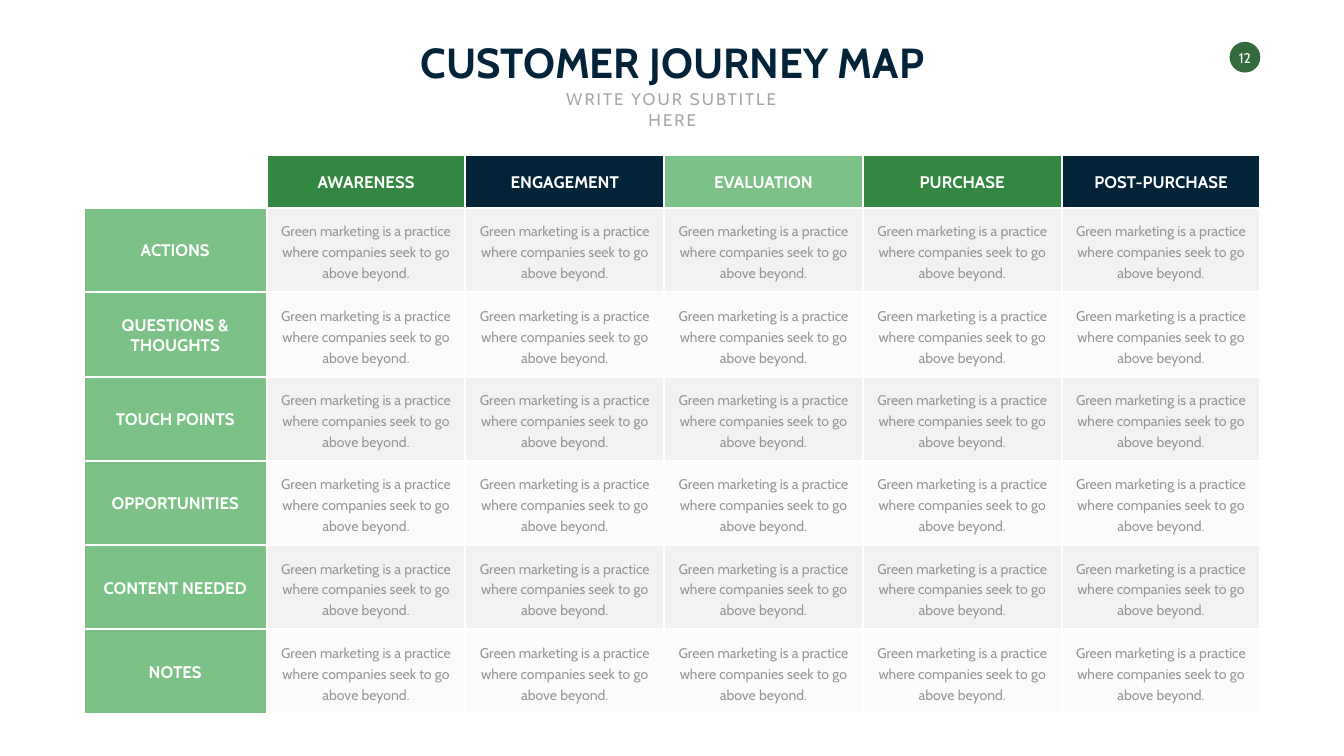
from dataclasses import dataclass

from lxml.etree import SubElement
from pptx import Presentation
from pptx.dml.color import RGBColor as Color
from pptx.enum.shapes import MSO_SHAPE as Shape
from pptx.enum.text import MSO_ANCHOR as Anchor, MSO_AUTO_SIZE as AutoSize, PP_ALIGN as Align
from pptx.oxml.ns import qn
from pptx.util import Inches, Pt


@dataclass(frozen=True)
class Theme:
    """Colours, font and type sizes of the journey map."""
    font: str = "Cabin"
    white: str = "FFFFFF"
    navy: str = "022338"
    green: str = "328840"
    light_green: str = "7CC287"
    badge_green: str = "336C3C"
    cell_gray: str = "F2F2F2"
    body_gray: str = "969696"
    subtitle_gray: str = "A6A6A6"
    title_size: int = 60
    label_size: int = 24
    body_size: int = 20
    body_leading: int = 30
    border: int = 3


class SlideBuilder:
    """Draws styled elements on one slide."""

    def __init__(self, slide, theme):
        self.slide = slide
        self.theme = theme

    def block(self, box, color, kind=Shape.RECTANGLE, border=True, opacity=None):
        """Add a filled shape, optionally bordered in white or translucent."""
        shape = self.slide.shapes.add_shape(kind, *map(Inches, box))
        shape.shadow.inherit = False
        shape.fill.solid()
        shape.fill.fore_color.rgb = Color.from_string(color)
        if border:
            shape.line.color.rgb = Color.from_string(self.theme.white)
            shape.line.width = Pt(self.theme.border)
        else:
            shape.line.fill.background()
        if opacity is not None:
            color_element = shape._element.spPr.find(qn("a:solidFill"))[0]
            SubElement(color_element, qn("a:alpha"), val=str(opacity * 1000))

    def text(self, box, words, size, color, bold=False, anchor=Anchor.MIDDLE,
             wrap=True, leading=None, tracking=None, margin=None):
        """Add a centred text box."""
        frame = self.slide.shapes.add_textbox(*map(Inches, box)).text_frame
        frame.word_wrap = wrap
        frame.auto_size = AutoSize.SHAPE_TO_FIT_TEXT
        frame.vertical_anchor = anchor
        if margin is not None:
            frame.margin_left = frame.margin_right = Inches(margin)
            frame.margin_top = frame.margin_bottom = Inches(margin)
        paragraph = frame.paragraphs[0]
        run = paragraph.add_run()
        run.text = words
        paragraph.alignment = Align.CENTER
        if leading:
            paragraph.line_spacing = Pt(leading)
        paragraph.font.name = self.theme.font
        paragraph.font.size = Pt(size)
        paragraph.font.bold = bold
        paragraph.font.color.rgb = Color.from_string(color)
        if tracking:
            run._r.get_or_add_rPr().set("spc", str(tracking * 100))

    def label(self, box, words, color, height=0.5):
        """Add a coloured heading cell with a bold label."""
        self.block(box, color)
        self.text(centered(box, box[2] - 0.55, height), words,
                  self.theme.label_size, self.theme.white, bold=True)

    def body_cell(self, box, words, opacity):
        """Add a gray cell with body text."""
        self.block(box, self.theme.cell_gray, opacity=opacity)
        self.text(centered(box, 3.67, 1.32), words, self.theme.body_size,
                  self.theme.body_gray, leading=self.theme.body_leading)


def centered(box, width, height):
    """Return a box of the given size centred inside another."""
    left, top, outer_width, outer_height = box
    return left + (outer_width - width) / 2, top + (outer_height - height) / 2, width, height


STAGES = ["AWARENESS", "ENGAGEMENT", "EVALUATION", "PURCHASE", "POST-PURCHASE"]
TOPICS = [("ACTIONS", 0.5), ("QUESTIONS & THOUGHTS", 0.91), ("TOUCH POINTS", 0.5),
          ("OPPORTUNITIES", 0.5), ("CONTENT NEEDED", 0.91), ("NOTES", 0.5)]
BODY = "Green marketing is a practice where companies seek to go above beyond."
GRID_LEFT, GRID_TOP, GRID_RIGHT, GRID_BOTTOM = 5.29, 4.13, 25, 14.16
TOPIC_LEFT, STAGE_TOP = 1.66, 3.08


def main():
    """Build the customer journey map slide."""
    presentation = Presentation()
    presentation.slide_width, presentation.slide_height = Inches(26.66), Inches(15)
    theme = Theme()
    builder = SlideBuilder(presentation.slides.add_slide(presentation.slide_layouts[6]), theme)

    builder.block((24.39, 0.83, 0.61, 0.61), theme.badge_green, Shape.OVAL, border=False)
    builder.text((24.49, 0.97, 0.41, 0.34), "12", theme.body_size, theme.white,
                 wrap=False, margin=0)
    builder.text((7.78, 0.67, 11.11, 1.11), "CUSTOMER JOURNEY MAP", theme.title_size,
                 theme.navy, bold=True, anchor=Anchor.TOP, wrap=False)
    builder.text((10.62, 1.72, 5.43, 0.5), "WRITE YOUR SUBTITLE HERE", theme.label_size,
                 theme.subtitle_gray, anchor=Anchor.TOP, tracking=3)

    column_width = (GRID_RIGHT - GRID_LEFT) / len(STAGES)
    row_height = (GRID_BOTTOM - GRID_TOP) / len(TOPICS)
    lefts = [GRID_LEFT + column * column_width for column in range(len(STAGES))]
    stage_colors = [theme.green, theme.navy, theme.light_green]

    for column, (left, stage) in enumerate(zip(lefts, STAGES)):
        box = (left, STAGE_TOP, column_width, GRID_TOP - STAGE_TOP)
        builder.label(box, stage, stage_colors[column % len(stage_colors)])

    for row, (topic, label_height) in enumerate(TOPICS):
        top = GRID_TOP + row * row_height
        builder.label((TOPIC_LEFT, top, GRID_LEFT - TOPIC_LEFT, row_height), topic,
                      theme.light_green, label_height)
        for left in lefts:
            builder.body_cell((left, top, column_width, row_height), BODY,
                              opacity=25 if row % 2 else None)

    presentation.save("out.pptx")


if __name__ == "__main__":
    main()
